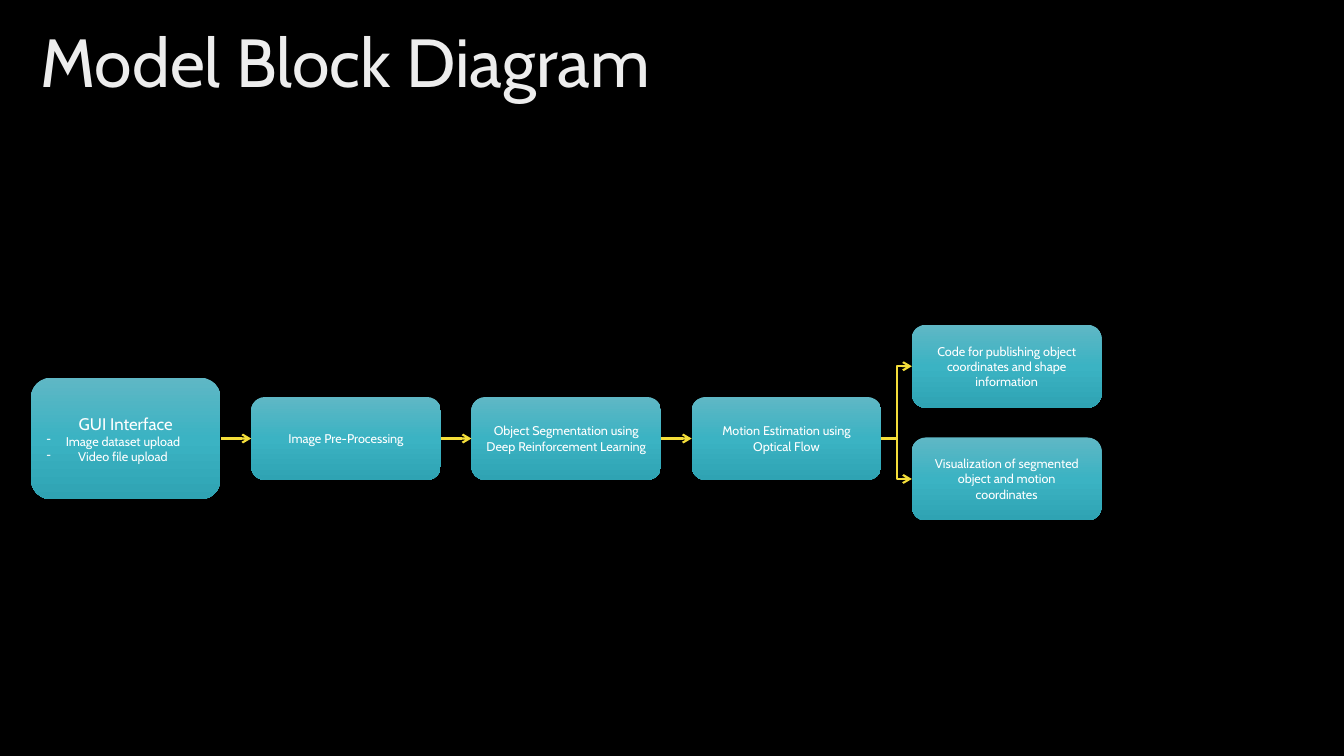
from copy import deepcopy

from lxml.etree import SubElement
from pptx import Presentation
from pptx.dml.color import RGBColor
from pptx.enum.shapes import MSO_CONNECTOR, MSO_SHAPE
from pptx.enum.text import MSO_ANCHOR, PP_ALIGN
from pptx.oxml.ns import qn
from pptx.util import Cm, Pt

COLORS = {
    "background": "000000",
    "title": "EDEDED",
    "text": "FFFFFF",
    "arrow": "F4DE3A",
    "block_top": "5FB7C5",
    "block_middle": "3BB3C3",
    "block_bottom": "2FA3B3",
}
FONT = "Cabin"
BLOCK_WIDTH, BLOCK_HEIGHT, GUI_HEIGHT = 4.78, 2.09, 3.07
FIRST_LEFT, COLUMN_PITCH = 0.78, 5.55
FLOW_CENTER = 11.05
LEFT_SITE, RIGHT_SITE = 1, 3


def write(paragraph, text, size, color="text", align=PP_ALIGN.CENTER):
    paragraph.text = text
    paragraph.alignment = align
    paragraph.font.name = FONT
    paragraph.font.size = Pt(size)
    paragraph.font.color.rgb = RGBColor.from_string(COLORS[color])


def add_block(column, center, height, text, size):
    """Add a gradient block to a column, centred vertically on center (cm)."""
    block = slide.shapes.add_shape(
        MSO_SHAPE.ROUNDED_RECTANGLE,
        Cm(FIRST_LEFT + column * COLUMN_PITCH), Cm(center - height / 2),
        Cm(BLOCK_WIDTH), Cm(height))
    block.shadow.inherit = False
    block.line.fill.background()
    block.fill.gradient()
    block.fill.gradient_angle = 270
    stop_list = block.element.spPr.find(qn("a:gradFill")).find(qn("a:gsLst"))
    stop_list.append(deepcopy(stop_list[-1]))
    for stop, position, shade in zip(block.fill.gradient_stops, (0, 0.5, 1),
                                     ("block_top", "block_middle", "block_bottom")):
        stop.position = position
        stop.color.rgb = RGBColor.from_string(COLORS[shade])
    block.text_frame.word_wrap = True
    block.text_frame.vertical_anchor = MSO_ANCHOR.MIDDLE
    write(block.text_frame.paragraphs[0], text, size)
    return block


prs = Presentation()
prs.slide_width, prs.slide_height = Cm(33.87), Cm(19.05)
slide = prs.slides.add_slide(prs.slide_layouts[6])
slide.background.fill.solid()
slide.background.fill.fore_color.rgb = RGBColor.from_string(COLORS["background"])

title = slide.shapes.add_textbox(Cm(0.77), Cm(0.71), Cm(32.72), Cm(1.88)).text_frame
title.word_wrap = True
title.vertical_anchor = MSO_ANCHOR.MIDDLE
write(title.paragraphs[0], "Model Block Diagram", 48.6, "title", PP_ALIGN.LEFT)
title.paragraphs[0].line_spacing = 0.9

# Blocks
gui = add_block(0, FLOW_CENTER, GUI_HEIGHT, "GUI Interface", 12)
for upload, indent in (("Image dataset upload", 0.48), ("Video file upload", 0.79)):
    item = gui.text_frame.add_paragraph()
    write(item, upload, 9, align=PP_ALIGN.JUSTIFY)
    properties = item._p.get_or_add_pPr()
    properties.set("marL", str(Cm(indent)))
    properties.set("indent", str(-Cm(indent)))
    bullet = properties.makeelement(qn("a:buChar"), {"char": "-"})
    properties.insert(0, bullet)

stages = [gui]
for column, stage in enumerate((
        "Image Pre-Processing",
        "Object Segmentation using Deep Reinforcement Learning",
        "Motion Estimation using Optical Flow"), start=1):
    stages.append(add_block(column, FLOW_CENTER, BLOCK_HEIGHT, stage, 9))

outputs = [
    add_block(len(stages), center, BLOCK_HEIGHT, output, 9)
    for center, output in (
        (9.23, "Code for publishing object coordinates and shape information"),
        (12.07, "Visualization of segmented object and motion coordinates"))
]

# Arrows
flows = [(MSO_CONNECTOR.STRAIGHT, *pair) for pair in zip(stages, stages[1:])]
flows += [(MSO_CONNECTOR.ELBOW, stages[-1], output) for output in outputs]
for kind, source, target in flows:
    arrow = slide.shapes.add_connector(kind, 0, 0, 0, 0)
    arrow.begin_connect(source, RIGHT_SITE)
    arrow.end_connect(target, LEFT_SITE)
    arrow.line.color.rgb = RGBColor.from_string(COLORS["arrow"])
    arrow.line.width = Pt(1.5)
    SubElement(arrow.line._get_or_add_ln(), qn("a:tailEnd"), type="arrow")
    SubElement(arrow.element.spPr, qn("a:effectLst"))

prs.save("out.pptx")
